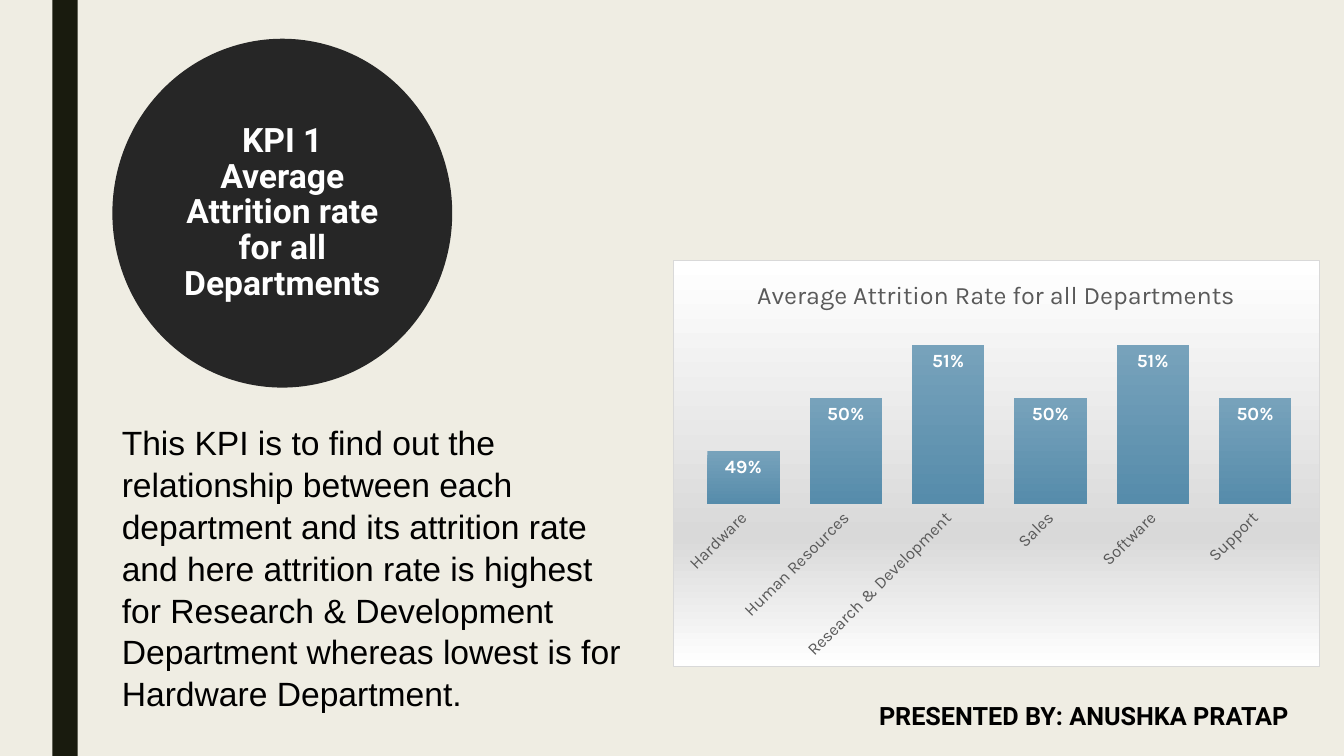
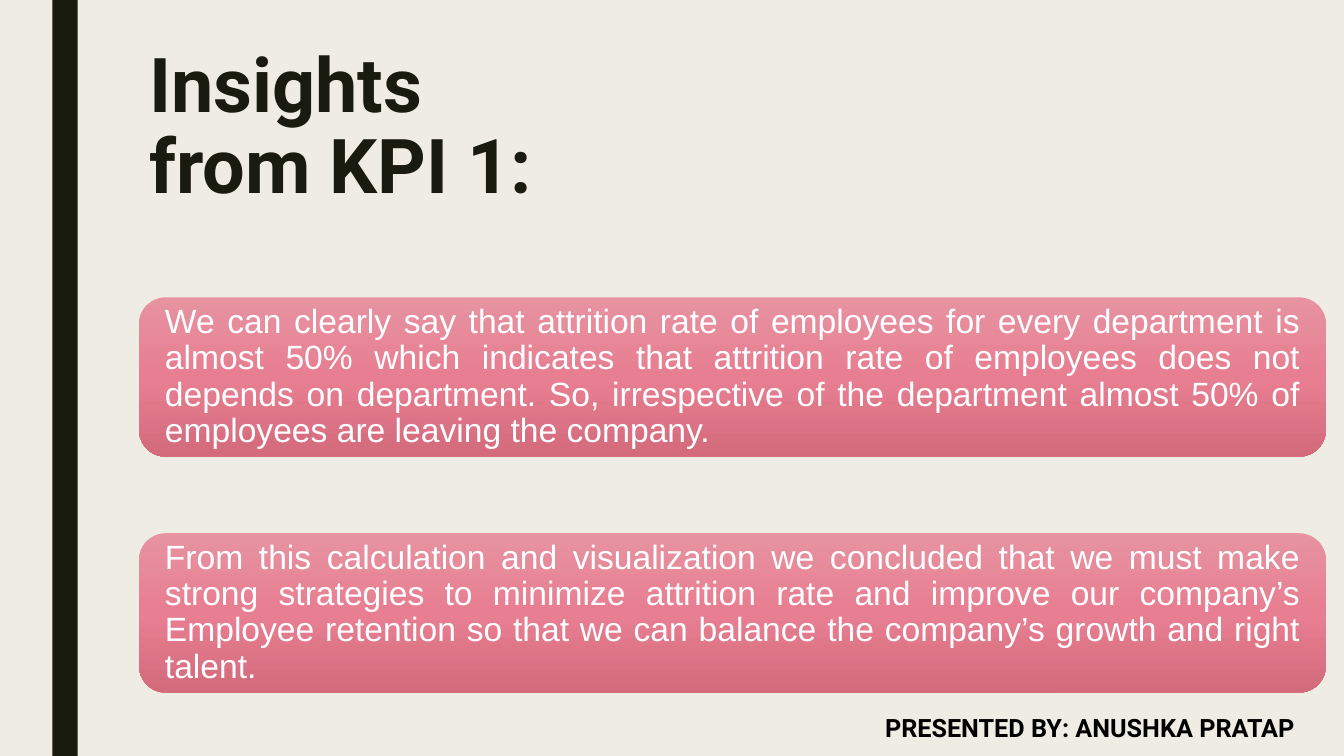
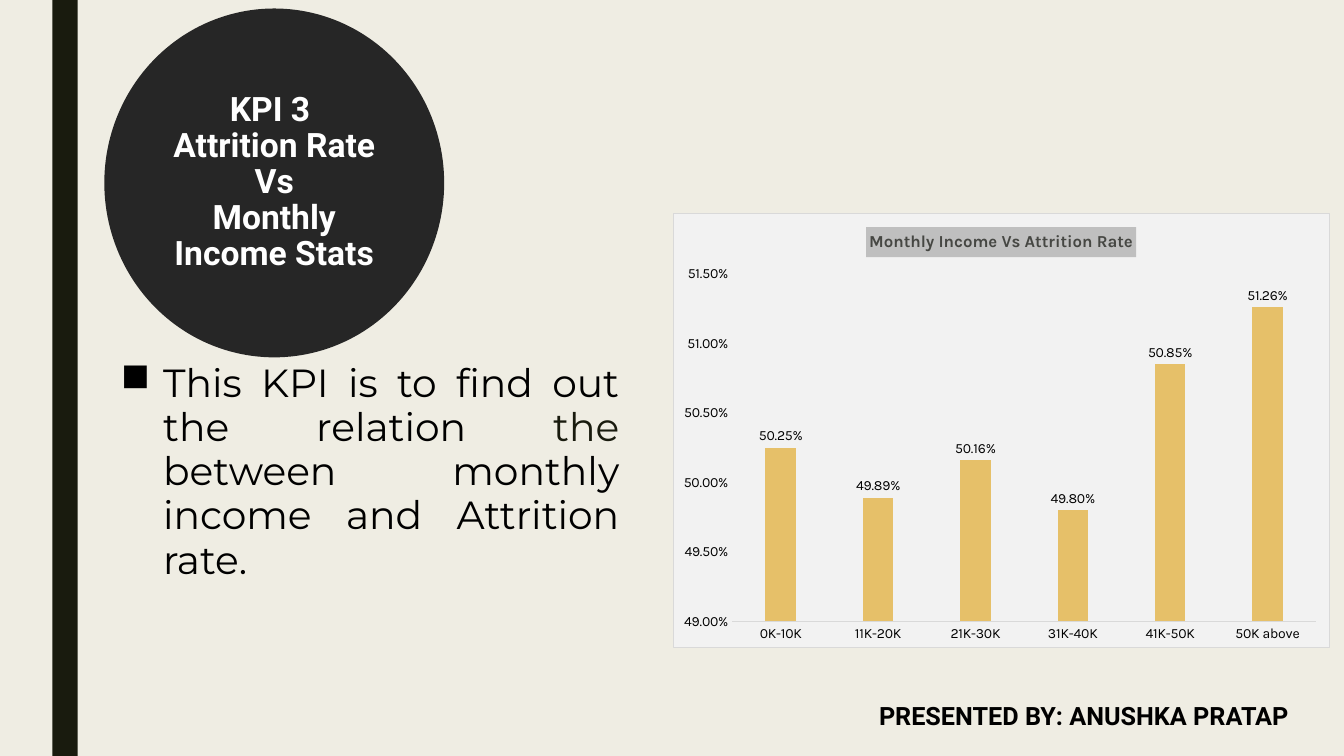
"""Builds three slides on employee attrition indicators."""
import lxml.etree
import pptx
import pptx.chart.data
import pptx.dml.color
import pptx.dml.fill
import pptx.dml.line
import pptx.enum.chart
import pptx.enum.shapes
import pptx.enum.text
import pptx.oxml
import pptx.oxml.ns
import pptx.util

Inches = pptx.util.Inches
Pt = pptx.util.Pt
RGBColor = pptx.dml.color.RGBColor
qn = pptx.oxml.ns.qn
Align = pptx.enum.text.PP_ALIGN
Shape = pptx.enum.shapes.MSO_SHAPE
Tick = pptx.enum.chart.XL_TICK_MARK
LabelPosition = pptx.enum.chart.XL_LABEL_POSITION

CREAM = RGBColor(0xEF, 0xED, 0xE3)
OLIVE = RGBColor(0x19, 0x1B, 0x0E)
CHARCOAL = RGBColor(0x26, 0x26, 0x26)
BLACK = RGBColor(0, 0, 0)
WHITE = RGBColor(0xFF, 0xFF, 0xFF)
PALE = RGBColor(0xF2, 0xF2, 0xF2)
SILVER = RGBColor(0xD9, 0xD9, 0xD9)
TITLE_GREY = RGBColor(0xBF, 0xBF, 0xBF)
SLATE = RGBColor(0x59, 0x59, 0x59)
TITLE_DARK = RGBColor(0x46, 0x47, 0x43)
GOLD = RGBColor(0xE6, 0xC0, 0x69)
ROSE = [(0, RGBColor(0xE7, 0x93, 0xA2)), (50, RGBColor(0xE7, 0x7E, 0x91)),
        (100, RGBColor(0xD3, 0x6B, 0x7D))]
BLUE = [(0, RGBColor(0x77, 0xA2, 0xBB)), (100, RGBColor(0x56, 0x8C, 0xAB))]
SHEEN = [(0, WHITE), (68, SILVER), (100, WHITE)]


class Deck:
    BODY, HEADING, CHART = "Arial", "Roboto", "Karla"

    def __init__(self):
        self.presentation = pptx.Presentation()
        self.presentation.slide_width = Inches(13.33)
        self.presentation.slide_height = Inches(7.5)
        self.slide = None

    def start_slide(self, footer_left=8.62, footer_top=6.9):
        self.slide = self.presentation.slides.add_slide(self.presentation.slide_layouts[6])
        self.slide.background.fill.solid()
        self.slide.background.fill.fore_color.rgb = CREAM
        self.shape(Shape.RECTANGLE, 0.52, 0, 0.25, 7.5, OLIVE)
        self.text(footer_left, footer_top, 4.47, 0.4, ["PRESENTED BY: ANUSHKA PRATAP"],
                  size=18, name=self.HEADING, bold=True)

    def paint(self, properties, colour):
        fill = pptx.dml.fill.FillFormat.from_fill_parent(properties)
        if isinstance(colour, RGBColor):
            fill.solid()
            fill.fore_color.rgb = colour
            return
        fill.gradient()
        fill.gradient_angle = 270
        stops = properties.find(qn("a:gradFill")).find(qn("a:gsLst"))
        for stop in list(stops):
            stops.remove(stop)
        for position, stop_colour in colour:
            stop = lxml.etree.SubElement(stops, qn("a:gs"), pos=str(position * 1000))
            lxml.etree.SubElement(stop, qn("a:srgbClr"), val=str(stop_colour))

    def style_font(self, font, size, name, colour, bold=False):
        font.size = Pt(size)
        font.name = name
        font.bold = bold
        font.color.rgb = colour

    def set_text(self, frame, texts, size=24, name=BODY, colour=BLACK, bold=False,
                 align=Align.LEFT, spacing=1.0):
        frame.word_wrap = True
        for index, text in enumerate(texts):
            paragraph = frame.add_paragraph() if index else frame.paragraphs[0]
            paragraph.alignment = align
            paragraph.line_spacing = spacing
            self.style_font(paragraph.font, size, name, colour, bold)
            for number, line in enumerate(text.splitlines()):
                if number:
                    paragraph.add_line_break()
                paragraph.add_run().text = line
        return frame.paragraphs[0]

    def text(self, left, top, width, height, texts, **style):
        box = self.slide.shapes.add_textbox(
            Inches(left), Inches(top), Inches(width), Inches(height))
        return self.set_text(box.text_frame, texts, **style)

    def shape(self, kind, left, top, width, height, colour):
        shape = self.slide.shapes.add_shape(
            kind, Inches(left), Inches(top), Inches(width), Inches(height))
        shape.shadow.inherit = False
        self.paint(shape._element.spPr, colour)
        shape.line.fill.background()
        return shape

    def circle_title(self, left, top, title):
        circle = self.shape(Shape.OVAL, left, top, 3.18, 3.27, CHARCOAL)
        circle.line.color.rgb = CHARCOAL
        circle.line.width = Pt(13.75)
        circle.text_frame.vertical_anchor = pptx.enum.text.MSO_ANCHOR.MIDDLE
        self.set_text(circle.text_frame, [title], name=self.HEADING, colour=WHITE, bold=True,
                      align=Align.CENTER, spacing=0.89)

    def insight(self, top, text):
        card = self.shape(Shape.ROUNDED_RECTANGLE, 1.38, top, 11.77, 1.58, ROSE)
        frame = card.text_frame
        frame.margin_left = frame.margin_right = Inches(0.18)
        frame.vertical_anchor = pptx.enum.text.MSO_ANCHOR.MIDDLE
        self.set_text(frame, [text], colour=WHITE, align=Align.JUSTIFY, spacing=0.9)

    def bullet(self, left, top, width, height, pieces):
        paragraph = self.text(left, top, width, height, [])
        paragraph.alignment = Align.JUSTIFY
        paragraph.line_spacing = 0.94
        paragraph.space_before = Pt(10)
        paragraph.space_after = Pt(2)
        self.style_font(paragraph.font, 28, "Montserrat", BLACK)
        for text, colour in pieces:
            run = paragraph.add_run()
            run.text = text
            run.font.color.rgb = colour
        properties = paragraph._p.get_or_add_pPr()
        properties.set("marL", str(Inches(0.42)))
        properties.set("indent", str(-Inches(0.42)))
        mark = lxml.etree.Element(qn("a:buChar"), char="■")
        properties.find(qn("a:defRPr")).addprevious(mark)

    def column_chart(self, box, title, categories, values, number_format, colour, area, plot,
                     gap, overlap, scale, label_position):
        data = pptx.chart.data.CategoryChartData(number_format=number_format)
        data.categories = categories
        data.add_series("Series 1", values)
        chart = self.slide.shapes.add_chart(
            pptx.enum.chart.XL_CHART_TYPE.COLUMN_CLUSTERED,
            *[Inches(length) for length in box], data).chart
        self.style_font(chart.font, 10, self.CHART, BLACK)
        chart.has_legend = False
        chart.has_title = True
        chart.chart_title.include_in_layout = False
        chart.chart_title.text_frame.text = title
        self.paint_chart_area(chart, area)
        self.place_plot(chart, plot)

        columns = chart.plots[0]
        columns.gap_width = gap
        columns.overlap = overlap
        columns.vary_by_categories = False
        self.paint(columns.series[0]._element.get_or_add_spPr(), colour)
        columns.has_data_labels = True
        labels = columns.data_labels
        labels.show_value = True
        labels.position = label_position
        labels.number_format = number_format
        labels.number_format_is_linked = False

        axis = chart.value_axis
        axis.minimum_scale, axis.maximum_scale, axis.major_unit = scale
        axis.has_major_gridlines = False
        axis.tick_labels.number_format = number_format
        axis.tick_labels.number_format_is_linked = False
        for each in (chart.category_axis, axis):
            each.major_tick_mark = each.minor_tick_mark = Tick.NONE
            each.format.line.fill.background()
            self.style_font(each.tick_labels.font, 10, self.CHART, BLACK)
        return chart

    def paint_chart_area(self, chart, colour):
        namespaces = pptx.oxml.ns.nsdecls("c", "a")
        properties = pptx.oxml.parse_xml(f"<c:spPr {namespaces}/>")
        chart._chartSpace.find(qn("c:chart")).addnext(properties)
        self.paint(properties, colour)
        border = pptx.dml.line.LineFormat(properties)
        border.color.rgb = SILVER
        border.width = Pt(0.75)

    def place_plot(self, chart, plot):
        area = chart._chartSpace.find(qn("c:chart")).find(qn("c:plotArea"))
        for old in area.findall(qn("c:layout")):
            area.remove(old)
        layout = lxml.etree.Element(qn("c:layout"))
        area.insert(0, layout)
        manual = lxml.etree.SubElement(layout, qn("c:manualLayout"))
        settings = [("layoutTarget", "inner"), ("xMode", "edge"), ("yMode", "edge")]
        for tag, value in settings + list(zip("xywh", plot)):
            lxml.etree.SubElement(manual, qn(f"c:{tag}"), val=str(value))

    def style_chart_title(self, chart, size, colour, bold=False):
        paragraph = chart.chart_title.text_frame.paragraphs[0]
        self.style_font(paragraph.font, size, self.CHART, colour, bold)


def department_slide(deck):
    deck.start_slide()
    deck.text(1.11, 4.12, 5.33, 2.93, [
        "This KPI is to find out the",
        "relationship between each",
        "department and its attrition rate and here attrition rate is highest for "
        "Research & Development Department whereas lowest is for Hardware Department.",
    ], spacing=1.04)
    chart = deck.column_chart(
        (6.67, 2.58, 6.42, 4.04), "Average Attrition Rate for all Departments",
        ["Hardware", "Human Resources", "Research & Development", "Sales", "Software", "Support"],
        [0.49, 0.5, 0.51, 0.5, 0.51, 0.5], "0%", BLUE, SHEEN,
        plot=(0.03, 0.17, 0.95, 0.43), gap=41, overlap=0, scale=(0.48, 0.513, 0.01),
        label_position=LabelPosition.INSIDE_END)
    deck.style_chart_title(chart, 18, SLATE)
    deck.style_font(chart.plots[0].data_labels.font, 13.3, deck.CHART, WHITE, True)
    deck.style_font(chart.category_axis.tick_labels.font, 12, deck.CHART, SLATE)
    chart.category_axis._element.find(qn("c:txPr")).find(qn("a:bodyPr")).set("rot", "-2700000")
    chart.value_axis.visible = False
    deck.circle_title(1.21, 0.48, "KPI 1\nAverage Attrition rate for all Departments")


def insights_slide(deck):
    deck.start_slide(8.68, 7.02)
    deck.text(1.38, 0.43, 4.61, 1.75, ["Insights from KPI 1:"], size=54, name=deck.HEADING,
              colour=OLIVE, bold=True, spacing=0.89)
    insights = [
        "We can clearly say that attrition rate of employees for every department is almost 50% "
        "which indicates that attrition rate of employees does not depends on department. So, "
        "irrespective of the department almost 50% of employees are leaving the company.",
        "From this calculation and visualization we concluded that we must make strong "
        "strategies to minimize attrition rate and improve our company’s Employee retention so "
        "that we can balance the company’s growth and right talent.",
    ]
    for index, insight in enumerate(insights):
        deck.insight(2.95 + 2.34 * index, insight)


def income_slide(deck):
    deck.start_slide()
    deck.bullet(1.1, 3.54, 5.14, 2.89, [
        ("This KPI is to find out the relation ", BLACK), ("the ", OLIVE),
        ("between monthly income and Attrition rate.", BLACK)])
    chart = deck.column_chart(
        (6.67, 2.11, 6.52, 4.32), "Monthly Income Vs Attrition Rate",
        ["0K-10K", "11K-20K", "21K-30K", "31K-40K", "41K-50K", "50K above"],
        [0.5025, 0.4989, 0.5016, 0.498, 0.5085, 0.5126], "0.00%", GOLD, PALE,
        plot=(0.09, 0.14, 0.89, 0.8), gap=219, overlap=-27, scale=(0.49, 0.515, 0.005),
        label_position=LabelPosition.OUTSIDE_END)
    deck.style_chart_title(chart, 12, TITLE_DARK, True)
    chart.chart_title.format.fill.solid()
    chart.chart_title.format.fill.fore_color.rgb = TITLE_GREY
    deck.style_font(chart.plots[0].data_labels.font, 10, deck.CHART, BLACK)
    chart.category_axis.format.line.color.rgb = SILVER
    chart.category_axis.format.line.width = Pt(0.75)
    deck.circle_title(1.13, 0.18, "KPI 3 \nAttrition Rate\nVs\nMonthly Income Stats")


def main():
    deck = Deck()
    department_slide(deck)
    insights_slide(deck)
    income_slide(deck)
    deck.presentation.save("out.pptx")


if __name__ == "__main__":
    main()
